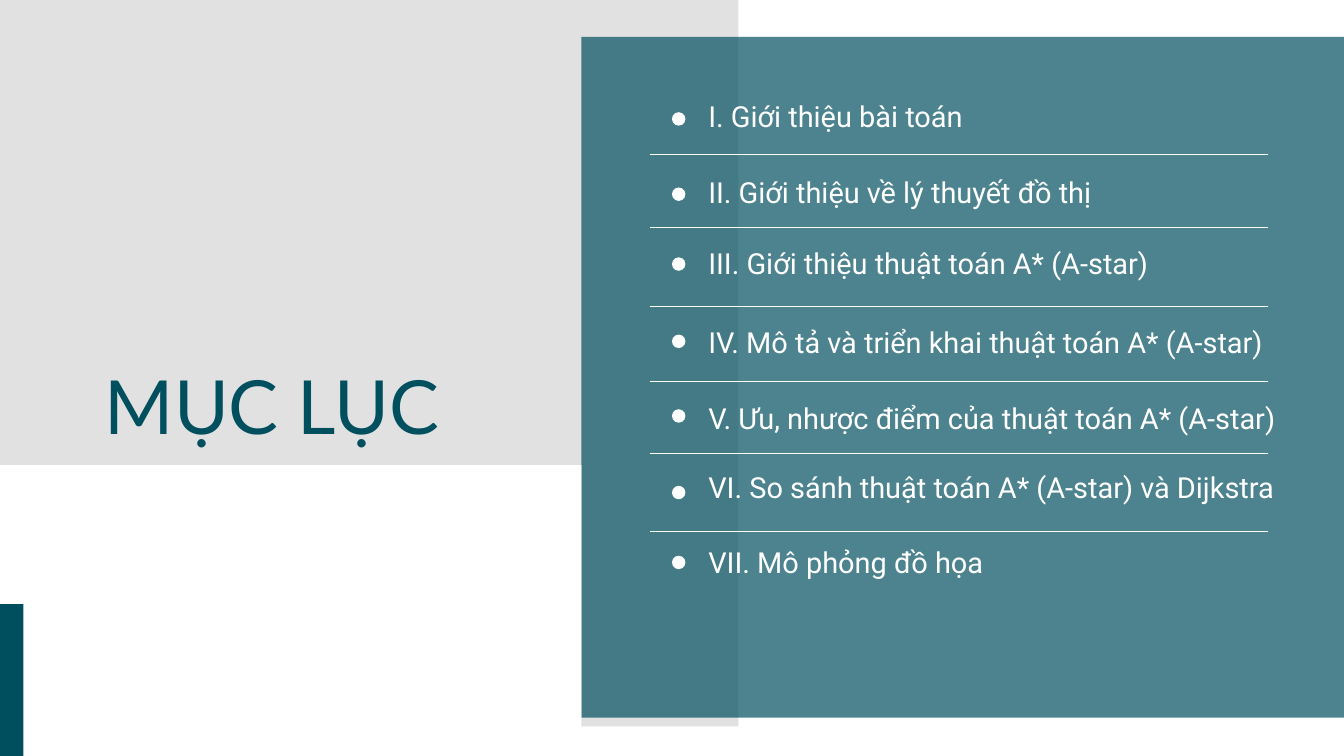
"""Build the table-of-contents slide with python-pptx."""
from dataclasses import dataclass

from lxml import etree
from pptx import Presentation
from pptx import util as u
from pptx.dml.color import RGBColor
from pptx.enum import shapes, text
from pptx.oxml.ns import qn


@dataclass(frozen=True)
class Theme:
    teal: str = "004F5F"
    grey: str = "E1E1E1"
    white: str = "FFFFFF"
    title_font: str = "Lato"
    body_font: str = "Roboto"
    title_size: float = 80
    title_leading: float = 94.4
    body_size: float = 31
    body_leading: float = 36.6
    rule_width: float = 0.75


class Deck:
    def __init__(self, slide, theme):
        self.s, self.theme = slide, theme

    def shape(self, kind, box, color, opacity=None):
        sp = self.s.shapes.add_shape(kind, *map(u.Inches, box))
        sp.shadow.inherit = False
        sp.line.fill.background()
        sp.fill.solid()
        sp.fill.fore_color.rgb = RGBColor.from_string(color)
        if opacity is not None:
            clr = sp._element.spPr.find(".//" + qn("a:srgbClr"))
            etree.SubElement(clr, qn("a:alpha"), val=str(opacity * 1000))

    def block(self, box, color, opacity=None):
        self.shape(shapes.MSO_SHAPE.RECTANGLE, box, color, opacity)

    def dot(self, x, y, size):
        self.shape(shapes.MSO_SHAPE.OVAL, (x, y, size, size), self.theme.white)

    def rule(self, x1, x2, y):
        ends = map(u.Inches, (x1, y, x2, y))
        ln = self.s.shapes.add_connector(shapes.MSO_CONNECTOR.STRAIGHT, *ends)
        ln.line.color.rgb = RGBColor.from_string(self.theme.white)
        ln.line.width = u.Pt(self.theme.rule_width)
        etree.SubElement(ln._element.spPr, qn("a:effectLst"))

    def label(self, words, box, font, size, leading, color):
        tf = self.s.shapes.add_textbox(*map(u.Inches, box)).text_frame
        tf.margin_left = tf.margin_right = tf.margin_top = tf.margin_bottom = 0
        tf.word_wrap = True
        tf.auto_size = text.MSO_AUTO_SIZE.SHAPE_TO_FIT_TEXT
        p = tf.paragraphs[0]
        p.text = words
        p.line_spacing = u.Pt(leading)
        p.font.name, p.font.size = font, u.Pt(size)
        p.font.color.rgb = RGBColor.from_string(color)

    def title(self, words, box):
        t = self.theme
        self.label(words, box, t.title_font, t.title_size, t.title_leading, t.teal)

    def entry(self, words, box):
        t = self.theme
        self.label(words, box, t.body_font, t.body_size, t.body_leading, t.white)


ENTRIES = [
    # words, text top, text width, text height, dot top
    ("I. Giới thiệu bài toán", 1.48, 5.91, 1.02, 1.67),
    ("II. Giới thiệu về lý thuyết đồ thị", 2.61, 6.93, 0.52, 2.79),
    ("III. Giới thiệu thuật toán A* (A-star)", 3.66, 6.93, 0.52, 3.83),
    ("IV. Mô tả và triển khai thuật toán A* (A-star)", 4.84, 8.51, 1.04, 4.98),
    ("V. Ưu, nhược điểm của thuật toán A* (A-star)", 5.97, 8.51, 1.04, 6.09),
    ("VI. So sánh thuật toán A* (A-star) và Dijkstra", 7, 9.25, 1.04, 7.23),
    ("VII. Mô phỏng đồ họa", 8.11, 9.25, 1.04, 8.27),
]
RULES = (2.29, 3.38, 4.56, 5.67, 6.75, 7.9)


def main():
    prs = Presentation()
    prs.slide_width, prs.slide_height = u.Inches(20), u.Inches(11.25)
    theme = Theme()
    deck = Deck(prs.slides.add_slide(prs.slide_layouts[6]), theme)

    deck.block((-0.35, -0.44, 11.34, 11.25), theme.grey)
    deck.block((8.65, 0.55, 11.35, 10.13), theme.teal, opacity=70)
    deck.block((0, 6.92, 8.65, 4.33), theme.white)
    deck.block((-0.35, 8.99, 0.7, 2.69), theme.teal)
    deck.title("MỤC LỤC", (1.56, 5.38, 7.52, 1.32))

    for y in RULES:
        deck.rule(9.68, 18.87, y)
    for words, top, width, height, dot_top in ENTRIES:
        deck.dot(10, dot_top, 0.2)
        deck.entry(words, (10.54, top, width, height))

    prs.save("out.pptx")


if __name__ == "__main__":
    main()
